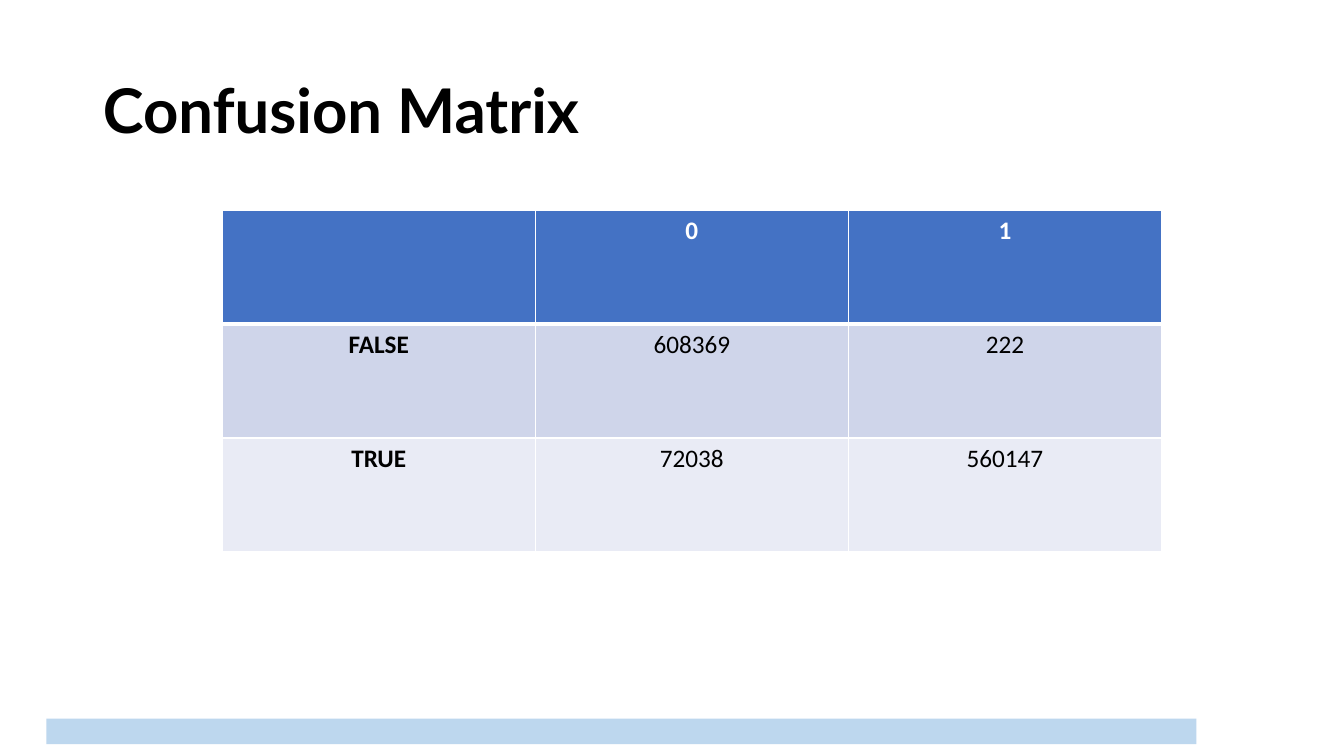
from lxml import etree
from pptx import Presentation
from pptx.dml.color import RGBColor
from pptx.enum.shapes import MSO_SHAPE
from pptx.enum.text import MSO_ANCHOR, MSO_AUTO_SIZE, PP_ALIGN
from pptx.oxml.ns import qn
from pptx.util import Cm, Pt

RECT = MSO_SHAPE.RECTANGLE
MIDDLE = MSO_ANCHOR.MIDDLE
FIXED = MSO_AUTO_SIZE.NONE
LEFT, CENTER = PP_ALIGN.LEFT, PP_ALIGN.CENTER

BLACK = RGBColor(0x00, 0x00, 0x00)
WHITE = RGBColor(0xFF, 0xFF, 0xFF)
BLUE = RGBColor(0x44, 0x72, 0xC4)
SKY = RGBColor(0xBD, 0xD7, 0xEE)
BANDS = (RGBColor(0xCF, 0xD5, 0xEA), RGBColor(0xE9, 0xEB, 0xF5))

MATRIX = (
    ("", "0", "1"),
    ("FALSE", "608369", "222"),
    ("TRUE", "72038", "560147"),
)


class Deck:
    """Hold the style and the current slide, and add elements to it."""

    head_font = "Lato"
    body_font = "Calibri"

    def __init__(self):
        """Start a wide deck with one title slide."""
        self.deck = Presentation()
        self.deck.slide_width, self.deck.slide_height = Cm(33.87), Cm(19.05)
        self.slide = self.deck.slides.add_slide(self.deck.slide_layouts[5])

    def text(self, para, words, font, size, color, bold):
        """Add one styled run to a paragraph."""
        run = para.add_run()
        run.text = words
        run.font.name = font
        run.font.size = Pt(size)
        run.font.bold = bold
        run.font.color.rgb = color

    def title(self, words, left, top, width, height):
        """Place and fill the title."""
        box = self.slide.shapes.title
        box.left, box.top = Cm(left), Cm(top)
        box.width, box.height = Cm(width), Cm(height)
        frame = box.text_frame
        frame.word_wrap = True
        frame.auto_size = FIXED
        frame.vertical_anchor = MIDDLE
        para = frame.paragraphs[0]
        para.alignment = LEFT
        para.line_spacing = 0.9
        self.text(para, words, self.head_font, 44, BLACK, True)

    def bar(self, color, left, top, width, height):
        """Draw a plain filled bar."""
        shape = self.slide.shapes.add_shape(
            RECT, Cm(left), Cm(top), Cm(width), Cm(height))
        shape.shadow.inherit = False
        shape.fill.solid()
        shape.fill.fore_color.rgb = color
        shape.line.fill.background()

    def edge(self, cell, side, width):
        """Give one side of a cell a white line."""
        props = cell._tc.get_or_add_tcPr()
        line = etree.SubElement(props, qn(f"a:{side}"), w=str(Pt(width)))
        fill = etree.SubElement(line, qn("a:solidFill"))
        etree.SubElement(fill, qn("a:srgbClr"), val=str(WHITE))

    def cell(self, cell, words, row, col):
        """Style and fill one cell by its place in the grid."""
        head = row == 0
        for side in ("lnL", "lnR", "lnT", "lnB"):
            thick = (side == "lnB" and head) or (side == "lnT" and row == 1)
            self.edge(cell, side, 3 if thick else 1)
        cell.fill.solid()
        cell.fill.fore_color.rgb = BLUE if head else BANDS[(row - 1) % 2]
        para = cell.text_frame.paragraphs[0]
        para.alignment = CENTER
        if words:
            self.text(para, words, self.body_font, 18,
                      WHITE if head else BLACK, head or col == 0)

    def table(self, rows, left, top, width, height):
        """Add an even grid of cells."""
        grid = self.slide.shapes.add_table(
            len(rows), len(rows[0]),
            Cm(left), Cm(top), Cm(width), Cm(height)).table
        for row, line in enumerate(rows):
            for col, words in enumerate(line):
                self.cell(grid.cell(row, col), words, row, col)


def main():
    """Build the confusion matrix slide."""
    page = Deck()
    page.title("Confusion Matrix", 2.34, 1.02, 29.21, 3.68)
    page.bar(SKY, 1.17, 18.11, 28.98, 0.64)
    page.table(MATRIX, 5.6, 5.31, 23.67, 8.59)
    page.deck.save("out.pptx")


if __name__ == "__main__":
    main()
